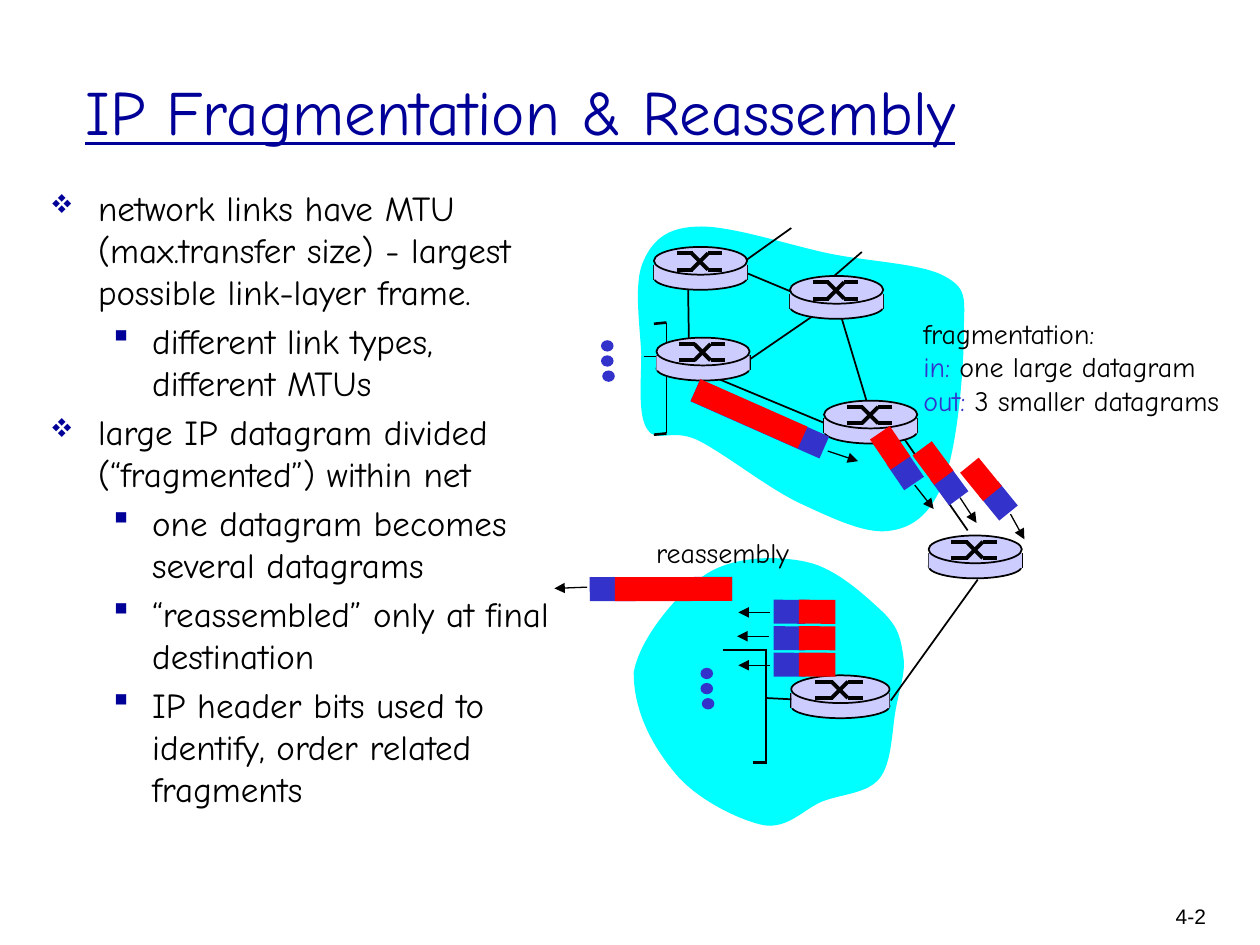
from typing import NamedTuple

import pptx
import pptx.dml.color
import pptx.enum.shapes
import pptx.enum.text
import pptx.oxml
import pptx.oxml.ns
import pptx.util
from lxml import etree

PX = 9144  # EMU per px, 100 px to the inch
BLACK, NAVY, BLUE = "000000", "000099", "3333CC"
RED, CYAN, LILAC = "FF0000", "00FFFF", "CCCCFF"
COMIC = "Comic Neue"
SHAPE = pptx.enum.shapes.MSO_SHAPE


class Link(NamedTuple):
    x1: int
    y1: int
    x2: int
    y2: int
    weight: float = 1


class Router(NamedTuple):
    x: int
    y: int
    width: int = 74


class Packet(NamedTuple):
    """Header bar first, data bar on top; both turned by angle."""
    header_x: int
    header_y: int
    header_w: int
    data_x: int
    data_y: int
    data_w: int
    angle: float


class Bullet(NamedTuple):
    text: str
    level: int = 0


class Run(NamedTuple):
    text: str
    color: str = BLACK


CORE_CLOUD = [(552, 180), (528, 181), (517, 192), (510, 209), (503, 226), (508, 259), (509, 281),
              (509, 303), (506, 330), (514, 341), (521, 352), (533, 340), (553, 349),
              (574, 359), (610, 388), (636, 400), (662, 412), (689, 425), (708, 421),
              (727, 418), (741, 405), (750, 379), (760, 353), (765, 292), (765, 266),
              (765, 239), (769, 230), (751, 220), (733, 209), (690, 208), (657, 201),
              (624, 194), (577, 178), (552, 180)]
EDGE_CLOUD = [(503, 534), (507, 508), (537, 471), (560, 456), (583, 441), (617, 441), (640, 446),
              (664, 451), (688, 474), (701, 486), (714, 499), (715, 508), (717, 521),
              (719, 534), (714, 546), (711, 563), (708, 579), (708, 606), (698, 618),
              (688, 630), (669, 630), (653, 636), (638, 642), (626, 658), (606, 655),
              (587, 651), (554, 635), (537, 615), (520, 595), (503, 567), (503, 534)]

CORE_LAN = [Link(519, 257, 529, 256, 1.5), Link(519, 345, 529, 344, 1.5), Link(529, 256, 529, 344)]
CORE_LINKS = [Link(511, 283, 525, 283), Link(574, 209, 646, 239), Link(666, 246, 688, 319),
              Link(546, 221, 547, 285), Link(549, 292, 655, 336), Link(768, 421, 716, 346),
              Link(658, 242, 575, 299), Link(628, 181, 576, 218), Link(684, 200, 654, 226)]
ROUTERS = [Router(519, 196), Router(521, 268), Router(627, 219), Router(654, 318),
           Router(628, 536, 78), Router(737, 425)]
EDGE_LINKS = [Link(574, 516, 609, 516, 1.5), Link(598, 605, 609, 605, 1.5), Link(608, 516, 608, 605),
              Link(608, 554, 628, 555), Link(776, 460, 707, 556)]

PACKETS = [Packet(547, 323, 112, 548, 319, 93, 23.9),
           Packet(706, 364, 25, 692, 346, 29, 55.8),
           Packet(741, 376, 25, 726, 358, 29, 53.6),
           Packet(780, 388, 25, 764, 371, 29, 50.9),
           *[Packet(614, 476 + 21 * i, 25, 634, 476 + 21 * i, 29, 180.4) for i in range(3)],
           Packet(468, 458, 113, 488, 458, 93, 179.9)]
ARROWS = [Link(657, 358, 681, 366, 0.75), Link(726, 385, 741, 404, 0.75),
          Link(762, 395, 775, 415, 0.75), Link(802, 408, 813, 428, 0.75),
          Link(611, 486, 586, 486, 0.75), Link(610, 505, 585, 505, 0.75),
          Link(611, 528, 586, 528, 0.75), Link(466, 466, 440, 467, 0.75)]

BULLETS = [
    Bullet("network links have MTU (max.transfer size) - largest possible link-layer frame."),
    Bullet("different link types, different MTUs", 1),
    Bullet("large IP datagram divided (“fragmented”) within net"),
    Bullet("one datagram becomes several datagrams", 1),
    Bullet("“reassembled” only at final destination", 1),
    Bullet("IP header bits used to identify, order related fragments", 1),
]

prs = pptx.Presentation()
prs.slide_width, prs.slide_height = 1000 * PX, 750 * PX
slide = prs.slides.add_slide(prs.slide_layouts[6])


def rgb(color: str) -> pptx.dml.color.RGBColor:
    return pptx.dml.color.RGBColor.from_string(color)


def draw_shape(kind, x: int, y: int, w: int, h: int, fill: str,
               outlined: bool = False, angle: float = 0) -> None:
    shape = slide.shapes.add_shape(kind, x * PX, y * PX, w * PX, h * PX)
    shape.shadow.inherit = False
    shape.rotation = angle
    shape.fill.solid()
    shape.fill.fore_color.rgb = rgb(fill)
    if outlined:
        shape.line.color.rgb = rgb(BLACK)
        shape.line.width = pptx.util.Pt(1)
    else:
        shape.line.fill.background()


def draw_link(link: Link, arrow: bool = False) -> None:
    line = slide.shapes.add_connector(pptx.enum.shapes.MSO_CONNECTOR.STRAIGHT,
                                      *[value * PX for value in link[:4]])
    line.line.color.rgb = rgb(BLACK)
    line.line.width = pptx.util.Pt(link.weight)
    if arrow:
        etree.SubElement(line.line._get_or_add_ln(), pptx.oxml.ns.qn("a:tailEnd"), type="triangle")
    etree.SubElement(line._element.spPr, pptx.oxml.ns.qn("a:effectLst"))


def draw_cloud(points: list[tuple[int, int]]) -> None:
    """Draw a closed chain of cubic curves: a start, then three points per curve."""
    builder = slide.shapes.build_freeform(*points[0], scale=PX)
    builder.add_line_segments(points[1:], close=True)
    cloud = builder.convert_to_shape()
    segments = list(cloud._element.iter(pptx.oxml.ns.qn("a:lnTo")))
    for i in range(0, len(segments), 3):
        curve = etree.Element(pptx.oxml.ns.qn("a:cubicBezTo"))
        segments[i].addprevious(curve)
        for segment in segments[i:i + 3]:
            curve.append(segment[0])
            segment.getparent().remove(segment)
    cloud.shadow.inherit = False
    cloud.fill.solid()
    cloud.fill.fore_color.rgb = rgb(CYAN)
    cloud.line.fill.background()


def draw_dots(x: int, y: int) -> None:
    for i in range(3):
        draw_shape(SHAPE.OVAL, x + i // 2, y + 12 * i, 10, 9, BLUE)


def draw_router(router: Router) -> None:
    x, y, w = router
    draw_shape(SHAPE.OVAL, x, y + 15, w, 19, LILAC, outlined=True)
    for side in (x, x + w):
        draw_link(Link(side, y + 14, side, y + 26))
    draw_shape(SHAPE.RECTANGLE, x, y + 14, w, 12, LILAC)
    draw_shape(SHAPE.OVAL, x, y, w, 22, LILAC, outlined=True)
    a, b, c, d = (x + round(offset * w / 74) for offset in (18, 30, 43, 54))
    for start, end in ((y + 5, y + 18), (y + 18, y + 5)):
        draw_link(Link(a, start, b + 1, start, 2.25))
        draw_link(Link(b, start, c, end, 2.25))
        draw_link(Link(c, end, d, end, 2.25))


def draw_packet(packet: Packet) -> None:
    draw_shape(SHAPE.RECTANGLE, *packet[:3], 19, BLUE, angle=packet.angle)
    draw_shape(SHAPE.RECTANGLE, *packet[3:6], 19, RED, angle=packet.angle)


def add_text(x: int, y: int, w: int, h: int, lines: list[list[Run]], size: int,
             font: str = COMIC, wrap: bool = True):
    frame = slide.shapes.add_textbox(x * PX, y * PX, w * PX, h * PX).text_frame
    frame.word_wrap = wrap
    for i, line in enumerate(lines):
        paragraph = frame.add_paragraph() if i else frame.paragraphs[0]
        for piece in line:
            run = paragraph.add_run()
            run.text = piece.text
            run.font.name, run.font.size = font, pptx.util.Pt(size)
            run.font.color.rgb = rgb(piece.color)
    return frame


def add_bullet(paragraph, level: int) -> None:
    # In Wingdings "v" is the four-diamond mark and "§" the small square
    indent, hanging, mark, percent = ((38, 38, "v", 75), (81, 31, "§", 100))[level]
    paragraph.level = level
    props = paragraph._p.get_or_add_pPr()
    props.set("marL", str(indent * PX))
    props.set("indent", str(-hanging * PX))
    ns = pptx.oxml.ns.nsdecls("a")
    for xml in (f'<a:buClr {ns}><a:srgbClr val="{NAVY}"/></a:buClr>',
                f'<a:buSzPct {ns} val="{percent * 1000}"/>',
                f'<a:buFont {ns} typeface="Wingdings" pitchFamily="2" charset="2"/>',
                f'<a:buChar {ns} char="{mark}"/>'):
        props.append(pptx.oxml.parse_xml(xml))


# Title and bullets
title = add_text(58, 25, 850, 125, [[Run("IP Fragmentation & Reassembly", NAVY)]], 36)
title.vertical_anchor = pptx.enum.text.MSO_ANCHOR.MIDDLE
title.paragraphs[0].runs[0].font.underline = True
body = add_text(30, 143, 417, 557, [[Run(bullet.text)] for bullet in BULLETS], 20)
for i, (paragraph, bullet) in enumerate(zip(body.paragraphs, BULLETS)):
    add_bullet(paragraph, bullet.level)
    paragraph.space_before = pptx.util.Pt(4 if i else 0)

# Networks and routers
draw_cloud(CORE_CLOUD)
draw_cloud(EDGE_CLOUD)
draw_dots(477, 270)
for link in CORE_LAN + CORE_LINKS:
    draw_link(link)
for router in ROUTERS:
    draw_router(router)
draw_dots(556, 530)
for link in EDGE_LINKS:
    draw_link(link)

# Datagrams on the move
for packet in PACKETS:
    draw_packet(packet)
for arrow in ARROWS:
    draw_link(arrow, arrow=True)

# Labels and slide number
add_text(723, 246, 277, 90, [[Run("fragmentation:")],
                             [Run("in:", BLUE), Run(" one large datagram")],
                             [Run("out:", BLUE), Run(" 3 smaller datagrams")]], 16, wrap=False)
add_text(511, 420, 136, 37, [[Run("reassembly")]], 16, wrap=False)
number = add_text(893, 712, 74, 38, [[Run("4-2")]], 12, font="Arial")
number.paragraphs[0].alignment = pptx.enum.text.PP_ALIGN.RIGHT

prs.save("out.pptx")
